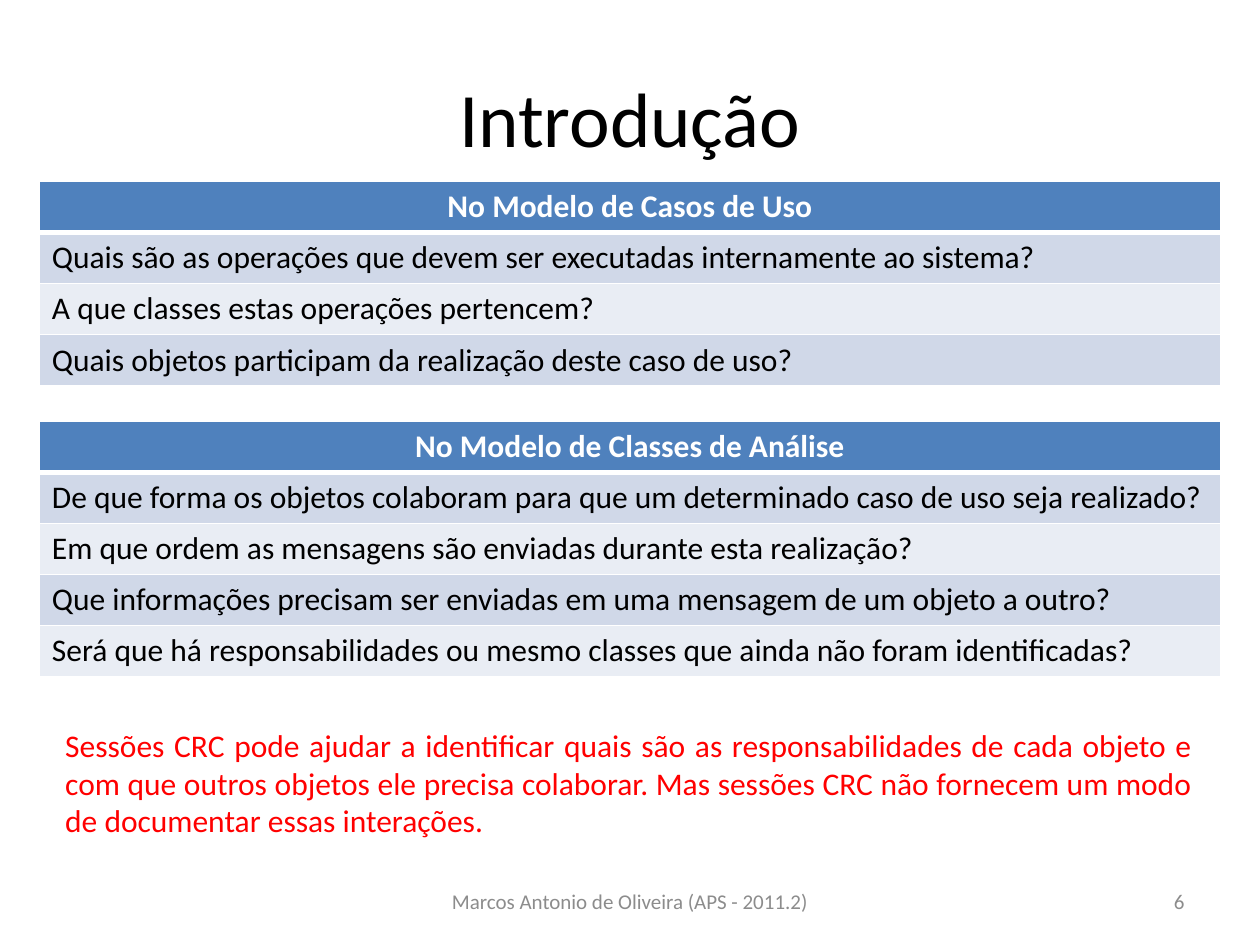
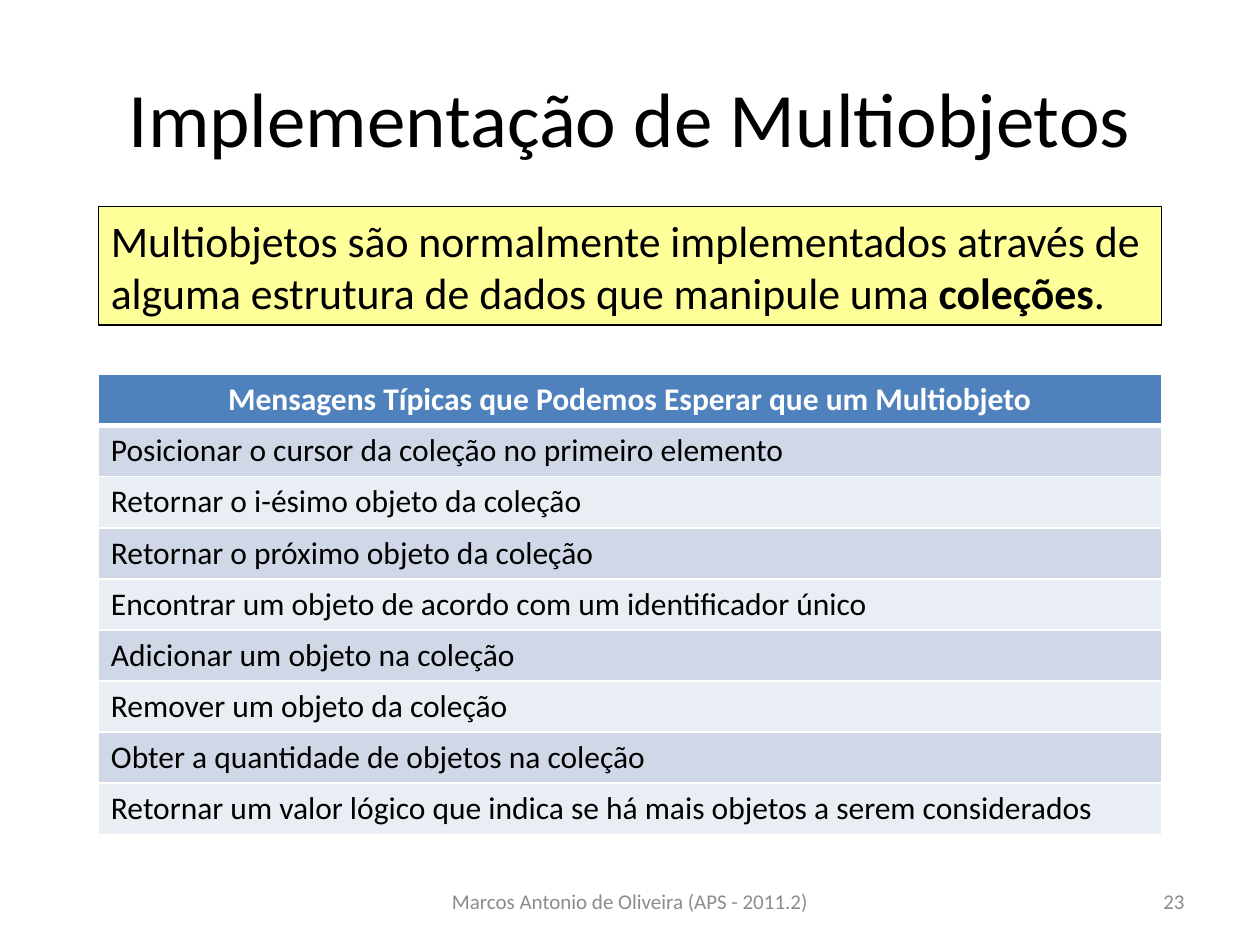
from lxml import etree
from pptx import Presentation
from pptx.dml.color import RGBColor
from pptx.enum import shapes, text
from pptx.oxml import ns
from pptx.util import Pt

BLACK = RGBColor(0x00, 0x00, 0x00)
WHITE = RGBColor(0xFF, 0xFF, 0xFF)
RED = RGBColor(0xFF, 0x00, 0x00)
GREY = RGBColor(0x8C, 0x8C, 0x8C)
BLUE = RGBColor(0x4F, 0x81, 0xBD)
YELLOW = RGBColor(0xFF, 0xFF, 0x99)
BANDS = (RGBColor(0xD0, 0xD8, 0xE8), RGBColor(0xE9, 0xED, 0xF4))

LEFT = text.PP_ALIGN.LEFT
CENTER = text.PP_ALIGN.CENTER
RIGHT = text.PP_ALIGN.RIGHT
JUSTIFY = text.PP_ALIGN.JUSTIFY
TOP = text.MSO_ANCHOR.TOP
MIDDLE = text.MSO_ANCHOR.MIDDLE

FOOTER = "Marcos Antonio de Oliveira (APS - 2011.2)"
ROW_HEIGHT = 29.2


def write_text(frame, *spans, size=18, color=BLACK, align=LEFT, anchor=TOP, bold=()):
    frame.word_wrap = True
    frame.vertical_anchor = anchor
    para = frame.paragraphs[0]
    para.alignment = align
    for wording in spans:
        span = para.add_run()
        span.text = wording
        span.font.name = "Calibri"
        span.font.size = Pt(size)
        span.font.bold = wording in bold
        span.font.color.rgb = color


def draw_borders(cell, **widths):
    properties = cell._tc.get_or_add_tcPr()
    for position, side in enumerate("LRTB"):
        line = etree.Element(ns.qn(f"a:ln{side}"), w=str(Pt(widths.get(side, 1))))
        fill = etree.SubElement(line, ns.qn("a:solidFill"))
        etree.SubElement(fill, ns.qn("a:srgbClr"), val=str(WHITE))
        properties.insert(position, line)


class Deck:
    def __init__(self):
        self.deck = Presentation()
        self.deck.slide_width = Pt(720)
        self.deck.slide_height = Pt(540)
        self.page = None

    def add_page(self, title, number):
        self.page = self.deck.slides.add_slide(self.deck.slide_layouts[6])
        self.add_text(36, 21.6, 648, 90, title, size=44, align=CENTER, anchor=MIDDLE)
        footer = {"size": 12, "color": GREY, "anchor": MIDDLE}
        self.add_text(246, 500.5, 228, 28.75, FOOTER, align=CENTER, **footer)
        self.add_text(516, 500.5, 168, 28.75, str(number), align=RIGHT, **footer)

    def add_text(self, left, top, width, height, *spans, **style):
        box = self.page.shapes.add_textbox(Pt(left), Pt(top), Pt(width), Pt(height))
        write_text(box.text_frame, *spans, **style)

    def add_callout(self, left, top, width, height, *spans, **style):
        box = self.page.shapes.add_shape(
            shapes.MSO_SHAPE.RECTANGLE, Pt(left), Pt(top), Pt(width), Pt(height))
        box.shadow.inherit = False
        box.fill.solid()
        box.fill.fore_color.rgb = YELLOW
        box.line.color.rgb = BLACK
        box.line.width = Pt(1)
        write_text(box.text_frame, *spans, **style)

    def add_list_table(self, left, top, width, heading, entries):
        rows = [heading, *entries]
        table = self.page.shapes.add_table(
            len(rows), 1, Pt(left), Pt(top), Pt(width), Pt(ROW_HEIGHT * len(rows))).table
        for index, wording in enumerate(rows):
            table.rows[index].height = Pt(ROW_HEIGHT)
            cell = table.cell(index, 0)
            cell.fill.solid()
            if index == 0:
                cell.fill.fore_color.rgb = BLUE
                draw_borders(cell, B=3)
                write_text(cell.text_frame, wording, color=WHITE, align=CENTER, bold=(wording,))
            else:
                cell.fill.fore_color.rgb = BANDS[(index - 1) % 2]
                draw_borders(cell, T=3 if index == 1 else 1)
                write_text(cell.text_frame, wording, align=JUSTIFY)

    def save(self):
        self.deck.save("out.pptx")


def build_introduction(deck):
    deck.add_page("Introdução", 6)
    deck.add_list_table(22.5, 103.7, 675, "No Modelo de Casos de Uso", [
        "Quais são as operações que devem ser executadas internamente ao sistema?",
        "A que classes estas operações pertencem?",
        "Quais objetos participam da realização deste caso de uso?",
    ])
    deck.add_list_table(22.5, 240.7, 675, "No Modelo de Classes de Análise", [
        "De que forma os objetos colaboram para que um determinado caso de uso seja realizado?",
        "Em que ordem as mensagens são enviadas durante esta realização?",
        "Que informações precisam ser enviadas em uma mensagem de um objeto a outro?",
        "Será que há responsabilidades ou mesmo classes que ainda não foram identificadas?",
    ])
    deck.add_text(
        30.2, 411.2, 658, 72.7,
        "Sessões CRC pode ajudar a identificar quais são as responsabilidades de cada objeto "
        "e com que outros objetos ele precisa colaborar. Mas sessões CRC não fornecem um modo "
        "de documentar essas interações.",
        color=RED, align=JUSTIFY)


def build_multiobjects(deck):
    deck.add_page("Implementação de Multiobjetos", 23)
    deck.add_list_table(56.2, 214, 607.5, "Mensagens Típicas que Podemos Esperar que um Multiobjeto", [
        "Posicionar o cursor da coleção no primeiro elemento",
        "Retornar o i-ésimo objeto da coleção",
        "Retornar o próximo objeto da coleção",
        "Encontrar um objeto de acordo com um identificador único",
        "Adicionar um objeto na coleção",
        "Remover um objeto da coleção",
        "Obter a quantidade de objetos na coleção",
        "Retornar um valor lógico que indica se há mais objetos a serem considerados",
    ])
    deck.add_callout(
        56.2, 118.1, 607.5, 67.7,
        "Multiobjetos são normalmente implementados através de alguma estrutura de dados "
        "que manipule uma ", "coleções", ".",
        size=25, anchor=MIDDLE, bold=("coleções",))


def main():
    deck = Deck()
    build_introduction(deck)
    build_multiobjects(deck)
    deck.save()


if __name__ == "__main__":
    main()
